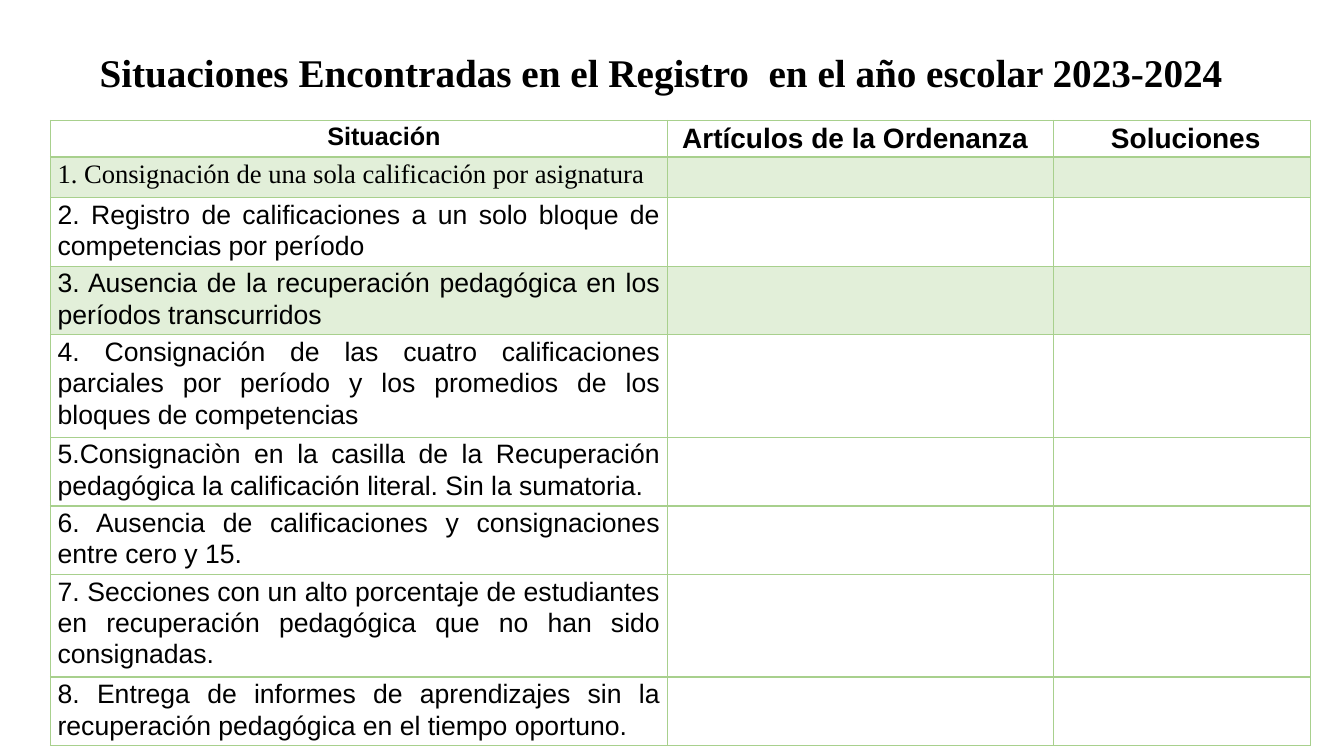
import pptx
import pptx.dml.color
import pptx.enum.text
import pptx.oxml.ns
import pptx.util
from lxml import etree

Pt = pptx.util.Pt
RGBColor = pptx.dml.color.RGBColor
ALIGN = pptx.enum.text.PP_ALIGN

BLACK = RGBColor(0x00, 0x00, 0x00)
BORDER_GREEN = RGBColor(0xA8, 0xD0, 0x8D)
BAND_GREEN = RGBColor(0xE2, 0xEF, 0xD9)
SANS, SERIF = "Arial", "Times New Roman"

TITLE = "Situaciones Encontradas en el Registro  en el año escolar 2023-2024"
# Text, size, alignment, left indent
HEADERS = [
    ("Situación", 18, ALIGN.CENTER, 36),
    ("Artículos de la Ordenanza", 20, ALIGN.LEFT, 5.5),
    ("Soluciones", 20, ALIGN.LEFT, 36),
]
# Text, row height
SITUATIONS = [
    ("1. Consignación de una sola calificación por asignatura", 29),
    ("2. Registro de calificaciones a un solo bloque de competencias por período", 49),
    ("3. Ausencia de la recuperación pedagógica en los períodos transcurridos", 49),
    ("4. Consignación de las cuatro calificaciones parciales por período y los "
     "promedios de los bloques de competencias", 73.2),
    ("5.Consignaciòn en la casilla de la Recuperación pedagógica la calificación "
     "literal. Sin la sumatoria.", 49),
    ("6. Ausencia de calificaciones y consignaciones entre cero y 15.", 49),
    ("7. Secciones con un alto porcentaje de estudiantes en recuperación pedagógica "
     "que no han sido consignadas.", 73.2),
    ("8. Entrega de informes de aprendizajes sin la recuperación pedagógica en el "
     "tiempo oportuno.", 49),
]
HEADER_HEIGHT = 26
COLUMN_WIDTHS = [440.6, 275.8, 183.6]
BANDED_ROWS = {1, 3}


class SlideBuilder:
    def __init__(self, slide):
        self.slide = slide

    def style(self, paragraph, size, name=SANS, bold=False):
        font = paragraph.font
        font.size, font.name, font.bold = Pt(size), name, bold
        font.color.rgb = BLACK

    def title(self, text, left, top, width, height):
        frame = self.slide.shapes.add_textbox(
            Pt(left), Pt(top), Pt(width), Pt(height)).text_frame
        frame.word_wrap = False
        frame.text = text
        self.style(frame.paragraphs[0], 28, SERIF, True)

    def table(self, left, top, widths, heights):
        table = self.slide.shapes.add_table(
            len(heights), len(widths), Pt(left), Pt(top),
            Pt(sum(widths)), Pt(sum(heights))).table
        table.first_row = table.horz_banding = False
        for column, width in zip(table.columns, widths):
            column.width = Pt(width)
        for row_index, (row, height) in enumerate(zip(table.rows, heights)):
            row.height = Pt(height)
            for cell in row.cells:
                self.cell_borders(cell, row_index)
                if row_index in BANDED_ROWS:
                    cell.fill.solid()
                    cell.fill.fore_color.rgb = BAND_GREEN
                else:
                    cell.fill.background()
        return table

    def cell_borders(self, cell, row_index):
        """Draw all four sides, thicker between the header and the body."""
        thick_side = {0: "B", 1: "T"}.get(row_index)
        properties = cell._tc.get_or_add_tcPr()
        qn = pptx.oxml.ns.qn
        for side in "LRTB":
            width = Pt(1.5 if side == thick_side else 1)
            line = etree.SubElement(properties, qn("a:ln" + side), w=str(width))
            fill = etree.SubElement(line, qn("a:solidFill"))
            etree.SubElement(fill, qn("a:srgbClr"), val=str(BORDER_GREEN))

    def cell_text(self, cell, text, size, align, indent=0, name=SANS, bold=False):
        cell.margin_left = cell.margin_right = Pt(5.2)
        cell.margin_top, cell.margin_bottom = Pt(0.7), 0
        cell.text = text
        paragraph = cell.text_frame.paragraphs[0]
        paragraph.alignment = align
        paragraph.line_spacing = 1.06
        paragraph.space_after = Pt(8)
        paragraph._p.get_or_add_pPr().set("marL", str(Pt(indent)))
        self.style(paragraph, size, name, bold)


def main():
    presentation = pptx.Presentation()
    presentation.slide_width, presentation.slide_height = Pt(960), Pt(540)
    builder = SlideBuilder(
        presentation.slides.add_slide(presentation.slide_layouts[6]))
    builder.title(TITLE, 64, 31, 819.4, 41)
    heights = [HEADER_HEIGHT] + [height for _, height in SITUATIONS]
    table = builder.table(36, 86, COLUMN_WIDTHS, heights)
    for column, (text, size, align, indent) in enumerate(HEADERS):
        builder.cell_text(table.cell(0, column), text, size, align, indent, bold=True)
    for row, (text, _) in enumerate(SITUATIONS, start=1):
        builder.cell_text(table.cell(row, 0), text, 19, ALIGN.JUSTIFY,
                          name=SERIF if row == 1 else SANS)
    presentation.save("out.pptx")


if __name__ == "__main__":
    main()
